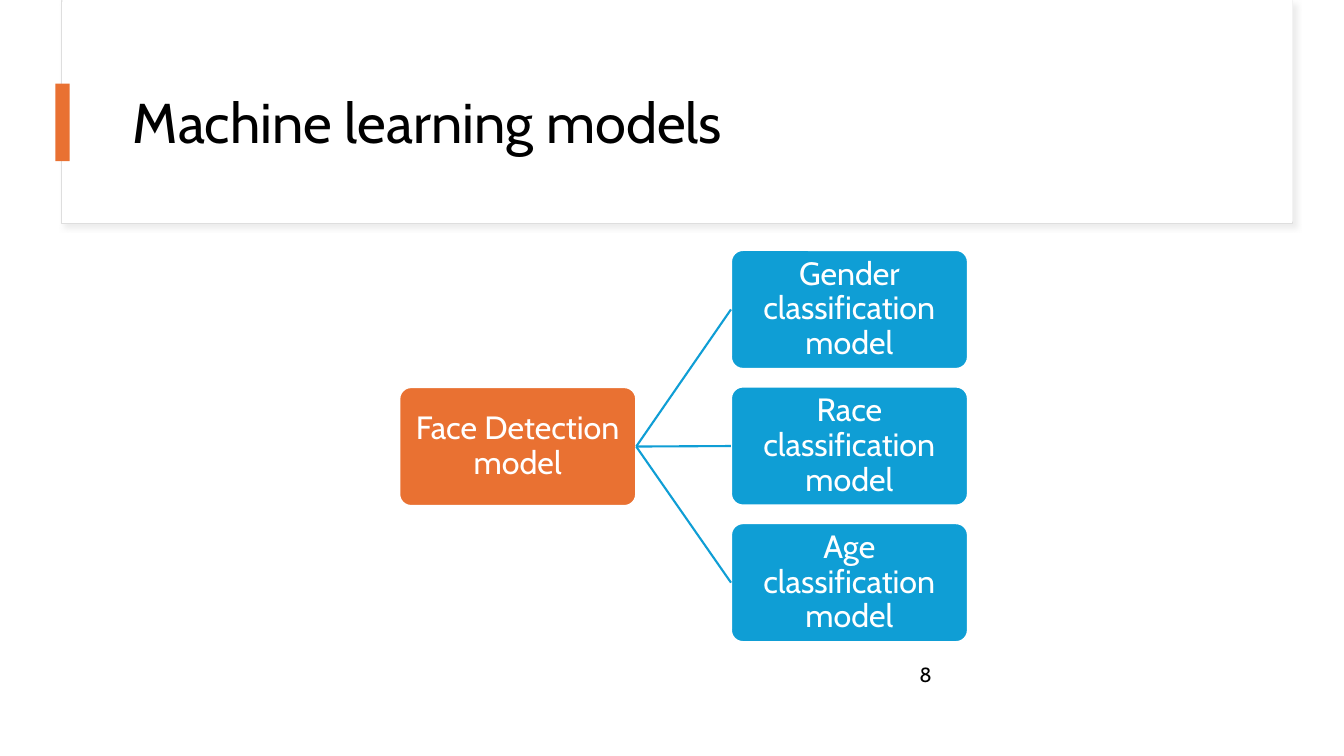
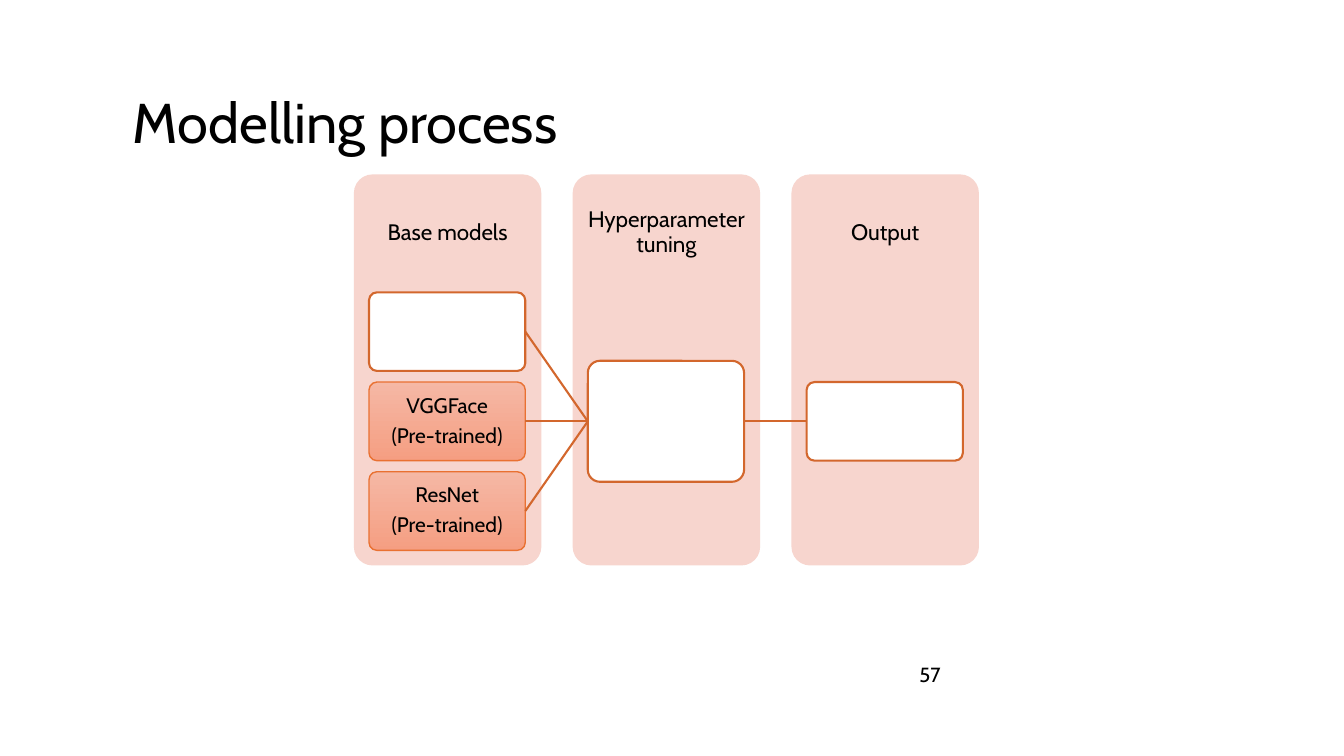
from dataclasses import dataclass

from lxml import etree
from pptx import Presentation
from pptx.dml.color import RGBColor
from pptx.enum.shapes import MSO_CONNECTOR, MSO_SHAPE
from pptx.enum.text import MSO_ANCHOR, PP_ALIGN
from pptx.oxml.ns import qn
from pptx.util import Inches, Pt

RECT, ROUND = MSO_SHAPE.RECTANGLE, MSO_SHAPE.ROUNDED_RECTANGLE
LINE = MSO_CONNECTOR.STRAIGHT
TOP, MID = MSO_ANCHOR.TOP, MSO_ANCHOR.MIDDLE
LEFT, CENTER = PP_ALIGN.LEFT, PP_ALIGN.CENTER
LEFT_SIDE, RIGHT_SIDE = 1, 3


@dataclass(frozen=True)
class Theme:
    font: str = "Cabin"
    black: str = "000000"
    white: str = "FFFFFF"
    orange: str = "E97132"
    rust: str = "D3672D"
    blue: str = "0F9ED5"
    pink: str = "F7D5CE"
    fade: tuple = ("F5B8A5", "F59E82")
    edge: str = "DEDEDE"
    shade: str = "D9D9D9"
    title: float = 40
    node: float = 23
    head: float = 16
    cell: float = 15
    page: float = 14.6


def rgb(code):
    return RGBColor.from_string(code)


def write(shape, text, size, color, font, align=LEFT, anchor=TOP,
          inset=(0.1, 0.05), lead=1.0, gap=0):
    """Fill a shape with text, one paragraph per line."""
    frame = shape.text_frame
    frame.word_wrap = True
    frame.vertical_anchor = anchor
    frame.margin_left = frame.margin_right = Inches(inset[0])
    frame.margin_top = frame.margin_bottom = Inches(inset[1])
    frame.text = text
    for i, para in enumerate(frame.paragraphs):
        para.alignment = align
        para.line_spacing = lead
        if i:
            para.space_before = Pt(gap)
        para.font.name = font
        para.font.size = Pt(size)
        para.font.color.rgb = rgb(color)


class Deck:
    def __init__(self, theme):
        self.theme = theme
        self.file = Presentation()
        self.file.slide_width = Inches(13.33)
        self.file.slide_height = Inches(7.5)
        self.slide = None

    def start(self, title, page, card=False):
        """Add a slide with its title and page number."""
        t = self.theme
        self.slide = self.file.slides.add_slide(self.file.slide_layouts[6])
        if card:
            self.card()
        self.text(title, 1.22, 0.6, 11.12, 1.29, size=t.title,
                  anchor=MID, lead=0.9)
        self.text(str(page), 9.02, 6.52, 2.45, 0.33, size=t.page)

    def text(self, text, x, y, w, h, **style):
        box = self.slide.shapes.add_textbox(*map(Inches, (x, y, w, h)))
        write(box, text, color=self.theme.black, font=self.theme.font, **style)

    def shape(self, kind, x, y, w, h, fill, line=None, width=1.5):
        """Draw a shape; a pair of colours makes a downward fade."""
        item = self.slide.shapes.add_shape(kind, *map(Inches, (x, y, w, h)))
        item.shadow.inherit = False
        if kind == ROUND:
            item.adjustments[0] = 0.1
        if isinstance(fill, tuple):
            item.fill.gradient()
            item.fill.gradient_angle = 270
            for stop, code in zip(item.fill.gradient_stops, fill):
                stop.color.rgb = rgb(code)
        else:
            item.fill.solid()
            item.fill.fore_color.rgb = rgb(fill)
        if line:
            item.line.color.rgb = rgb(line)
            item.line.width = Pt(width)
        else:
            item.line.fill.background()
        return item

    def card(self):
        """Title card with a soft shadow, open at the top, and its accent."""
        t = self.theme
        back = self.shape(RECT, 0.61, 0.01, 12.21, 2.21, t.white, t.edge, 0.75)
        list_ = back._element.spPr.find(qn("a:effectLst"))
        glow = etree.SubElement(list_, qn("a:outerShdw"), blurRad=str(Pt(4)),
                                dist=str(Pt(3)), dir="2700000")
        tint = etree.SubElement(glow, qn("a:srgbClr"), val=t.shade)
        etree.SubElement(tint, qn("a:alpha"), val="50000")
        self.shape(RECT, 0.62, 0, 12.2, 2.2, t.white)
        self.shape(RECT, 0.55, 0.83, 0.14, 0.77, t.orange)

    def node(self, text, x, y, fill):
        t = self.theme
        item = self.shape(ROUND, x, y, 2.35, 1.18, fill, t.white)
        write(item, text, t.node, t.white, t.font, align=CENTER, anchor=MID,
              inset=(0.02, 0.02), lead=0.9)
        return item

    def panel(self, text, x, y):
        t = self.theme
        self.shape(ROUND, x, y, 1.86, 3.88, t.pink)
        self.text(text, x, y, 1.86, 1.16, size=t.head, align=CENTER,
                  anchor=MID, inset=(0.12, 0.12), lead=0.9)

    def cell(self, x, mid, h=0.78, text=""):
        """Draw a cell centred on a height; without text it stays white."""
        t = self.theme
        look = (t.fade, t.orange, 1) if text else (t.white, t.rust)
        item = self.shape(ROUND, x, mid - h / 2, 1.55, h, *look)
        if text:
            write(item, text, t.cell, t.black, t.font, align=CENTER,
                  anchor=MID, inset=(0.01, 0.01), lead=0.9, gap=5.25)
        return item

    def link(self, start, end, color):
        """Join the right side of one shape to the left side of another."""
        line = self.slide.shapes.add_connector(LINE, 0, 0, 0, 0)
        line.begin_connect(start, RIGHT_SIDE)
        line.end_connect(end, LEFT_SIDE)
        line.line.color.rgb = rgb(color)
        line.line.width = Pt(1.5)
        etree.SubElement(line._element.spPr, qn("a:effectLst"))


def models(deck):
    t = deck.theme
    deck.start("Machine learning models", 8, card=True)
    root = deck.node("Face Detection model", 3.96, 3.84, t.orange)
    for i, name in enumerate(("Gender", "Race", "Age")):
        leaf = deck.node(f"{name} classification model",
                         7.25, 2.48 + 1.355 * i, t.blue)
        deck.link(root, leaf, t.blue)


def process(deck):
    t = deck.theme
    left, step, pad, mid, row = 3.51, 2.17, 0.15, 4.18, 0.89
    deck.start("Modelling process", 57)

    # Panels with their headings
    for i, head in enumerate(("Base models", "Hyperparameter tuning", "Output")):
        deck.panel(head, left + step * i, 1.73)

    # Cells and the flow between them
    base, tune, out = (left + pad + step * i for i in range(3))
    tuner = deck.cell(tune, mid, h=1.2)
    names = ("", "VGGFace\n(Pre-trained)", "ResNet\n(Pre-trained)")
    for i, name in enumerate(names):
        deck.link(deck.cell(base, mid + row * (i - 1), text=name), tuner, t.rust)
    deck.link(tuner, deck.cell(out, mid), t.rust)


def main():
    deck = Deck(Theme())
    models(deck)
    process(deck)
    deck.file.save("out.pptx")


if __name__ == "__main__":
    main()
